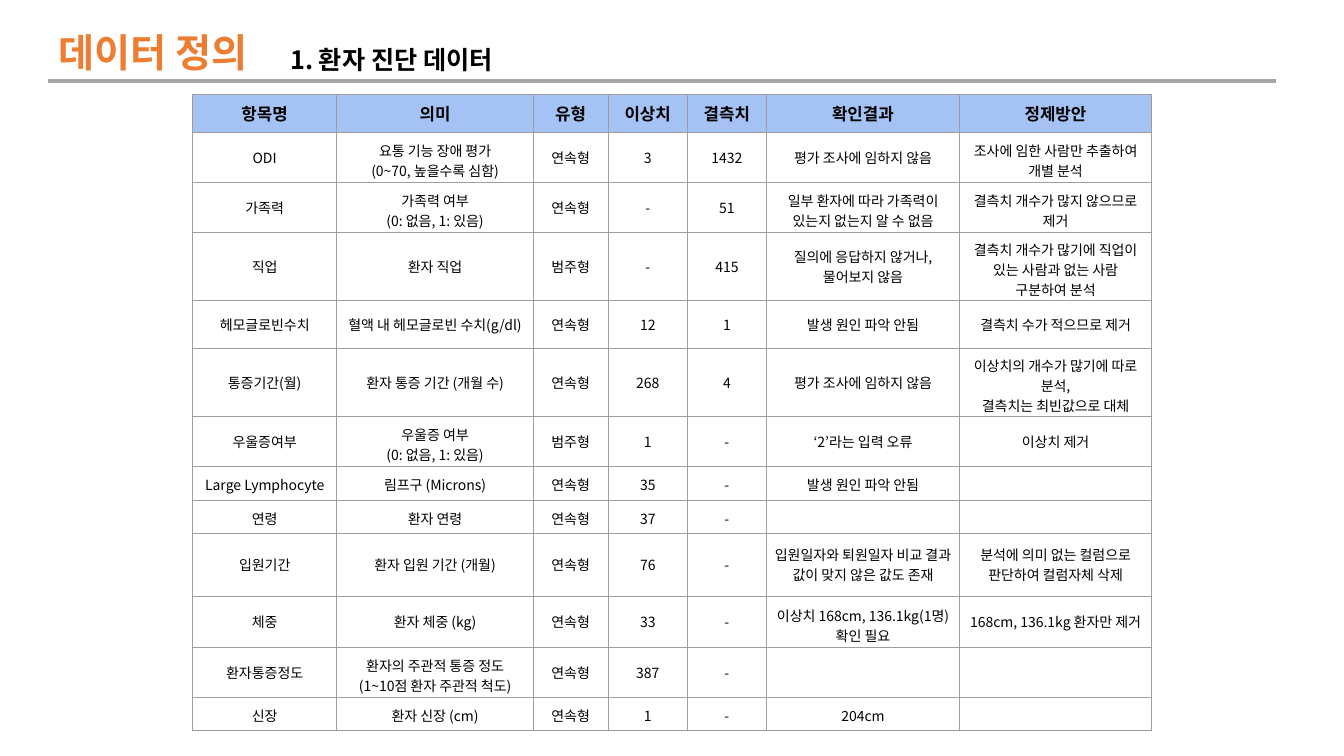
"""Build the patient diagnosis data definition slide."""
from dataclasses import dataclass
from math import ceil

from lxml import etree
from pptx import Presentation
from pptx.dml.color import RGBColor
from pptx.enum.shapes import MSO_CONNECTOR
from pptx.enum.text import MSO_ANCHOR, MSO_AUTO_SIZE, PP_ALIGN
from pptx.oxml.ns import qn
from pptx.util import Inches, Pt

STRAIGHT = MSO_CONNECTOR.STRAIGHT
MIDDLE = MSO_ANCHOR.MIDDLE
NO_AUTOSIZE = MSO_AUTO_SIZE.NONE
LEFT, CENTER = PP_ALIGN.LEFT, PP_ALIGN.CENTER

ORANGE = RGBColor(0xED, 0x7D, 0x31)
BLACK = RGBColor(0x00, 0x00, 0x00)
RULE_GRAY = RGBColor(0xA5, 0xA5, 0xA5)
BORDER_GRAY = RGBColor(0x9E, 0x9E, 0x9E)
HEADER_BLUE = RGBColor(0xA4, 0xC2, 0xF4)

KOREAN_FONT = "Noto Sans CJK KR"
HEADER_FONT = "Arial"
CELL_MARGIN = 0.08
LINE_SPACING = 1.455
HANGUL_WIDTH, LATIN_WIDTH = 0.12, 0.05
BORDER_WIDTH = Pt(0.6)
COLUMN_WIDTHS = (1.43, 1.95, 0.74, 0.79, 0.78, 1.92, 1.9)
HEADERS = ("항목명", "의미", "유형", "이상치", "결측치", "확인결과", "정제방안")
HEADER_HEIGHT = 0.37
CONTINUOUS, CATEGORICAL = "연속형", "범주형"


@dataclass(frozen=True)
class TextStyle:
    font: str
    size: float
    color: RGBColor
    bold: bool
    alignment: PP_ALIGN


@dataclass(frozen=True)
class DataItem:
    height: float
    name: str
    meaning: str
    kind: str
    outliers: str
    missing: str = "-"
    finding: str = ""
    treatment: str = ""

    def texts(self) -> tuple[str, ...]:
        return (self.name, self.meaning, self.kind, self.outliers,
                self.missing, self.finding, self.treatment)


TITLE_STYLE = TextStyle(KOREAN_FONT, 28, ORANGE, True, LEFT)
SUBTITLE_STYLE = TextStyle(KOREAN_FONT, 18, BLACK, True, LEFT)
HEADER_STYLE = TextStyle(HEADER_FONT, 12, BLACK, True, CENTER)
BODY_STYLE = TextStyle(KOREAN_FONT, 10, BLACK, False, CENTER)

ITEMS = (
    DataItem(0.5, "ODI", "요통 기능 장애 평가\n(0~70, 높을수록 심함)", CONTINUOUS, "3", "1432",
             "평가 조사에 임하지 않음", "조사에 임한 사람만 추출하여 개별 분석"),
    DataItem(0.5, "가족력", "가족력 여부\n(0: 없음, 1: 있음)", CONTINUOUS, "-", "51",
             "일부 환자에 따라 가족력이 있는지 없는지 알 수 없음",
             "결측치 개수가 많지 않으므로 제거"),
    DataItem(0.67, "직업", "환자 직업", CATEGORICAL, "-", "415",
             "질의에 응답하지 않거나, 물어보지 않음",
             "결측치 개수가 많기에 직업이 있는 사람과 없는 사람 구분하여 분석"),
    DataItem(0.48, "헤모글로빈수치", "혈액 내 헤모글로빈 수치(g/dl)", CONTINUOUS, "12", "1",
             "발생 원인 파악 안됨", "결측치 수가 적으므로 제거"),
    DataItem(0.67, "통증기간(월)", "환자 통증 기간 (개월 수)", CONTINUOUS, "268", "4",
             "평가 조사에 임하지 않음",
             "이상치의 개수가 많기에 따로 분석,\n결측치는 최빈값으로 대체"),
    DataItem(0.5, "우울증여부", "우울증 여부\n(0: 없음, 1: 있음)", CATEGORICAL, "1", "-",
             "‘2’라는 입력 오류", "이상치 제거"),
    DataItem(0.33, "Large Lymphocyte", "림프구 (Microns)", CONTINUOUS, "35",
             finding="발생 원인 파악 안됨"),
    DataItem(0.33, "연령", "환자 연령", CONTINUOUS, "37"),
    DataItem(0.63, "입원기간", "환자 입원 기간 (개월)", CONTINUOUS, "76",
             finding="입원일자와 퇴원일자 비교 결과 값이 맞지 않은 값도 존재",
             treatment="분석에 의미 없는 컬럼으로 판단하여 컬럼자체 삭제"),
    DataItem(0.5, "체중", "환자 체중 (kg)", CONTINUOUS, "33",
             finding="이상치 168cm, 136.1kg(1명) 확인 필요",
             treatment="168cm, 136.1kg 환자만 제거"),
    DataItem(0.5, "환자통증정도", "환자의 주관적 통증 정도\n(1~10점 환자 주관적 척도)",
             CONTINUOUS, "387"),
    DataItem(0.33, "신장", "환자 신장 (cm)", CONTINUOUS, "1", finding="204cm"),
)


def write_text(text_frame, text: str, style: TextStyle) -> None:
    text_frame.text = text
    for paragraph in text_frame.paragraphs:
        paragraph.alignment = style.alignment
        paragraph.font.name = style.font
        paragraph.font.size = Pt(style.size)
        paragraph.font.bold = style.bold
        paragraph.font.color.rgb = style.color
        defaults = paragraph._p.pPr.find(qn("a:defRPr"))
        etree.SubElement(defaults, qn("a:ea"), typeface=style.font)


def write_heading(shape, text: str, style: TextStyle) -> None:
    text_frame = shape.text_frame
    write_text(text_frame, text, style)
    text_frame.word_wrap = False
    text_frame.auto_size = NO_AUTOSIZE
    text_frame.vertical_anchor = MIDDLE


def add_rule(slide) -> None:
    rule = slide.shapes.add_connector(
        STRAIGHT, Inches(0.48), Inches(0.8), Inches(12.66), Inches(0.8))
    rule.line.color.rgb = RULE_GRAY
    rule.line.width = Pt(3)
    etree.SubElement(rule.element.spPr, qn("a:effectLst"))


def add_borders(cell) -> None:
    properties = cell._tc.get_or_add_tcPr()
    for position, side in enumerate(("a:lnL", "a:lnR", "a:lnT", "a:lnB")):
        border = etree.Element(qn(side), w=str(BORDER_WIDTH))
        fill = etree.SubElement(border, qn("a:solidFill"))
        etree.SubElement(fill, qn("a:srgbClr"), val=str(BORDER_GRAY))
        properties.insert(position, border)


def count_lines(text: str, width: float) -> int:
    available = width - 2 * CELL_MARGIN
    return sum(
        max(1, ceil(sum(HANGUL_WIDTH if "가" <= letter <= "힣" else LATIN_WIDTH
                        for letter in line) / available))
        for line in text.split("\n"))


def fill_cell(cell, text: str, is_header: bool, width: float, height: float) -> None:
    style = HEADER_STYLE if is_header else BODY_STYLE
    write_text(cell.text_frame, text, style)
    cell.vertical_anchor = MIDDLE
    cell.margin_left = cell.margin_right = Inches(CELL_MARGIN)
    spare = height - count_lines(text, width) * style.size * LINE_SPACING / 72
    top = max(0, min(CELL_MARGIN, spare))
    cell.margin_top = Inches(top)
    cell.margin_bottom = Inches(max(0, min(CELL_MARGIN, spare - top)))
    if is_header:
        cell.fill.solid()
        cell.fill.fore_color.rgb = HEADER_BLUE
    else:
        cell.fill.background()
    add_borders(cell)


def add_definition_table(slide) -> None:
    heights = (HEADER_HEIGHT, *(item.height for item in ITEMS))
    rows = (HEADERS, *(item.texts() for item in ITEMS))
    table = slide.shapes.add_table(
        len(rows), len(HEADERS), Inches(1.91), Inches(0.94),
        Inches(sum(COLUMN_WIDTHS)), Inches(sum(heights))).table
    for column, width in zip(table.columns, COLUMN_WIDTHS):
        column.width = Inches(width)
    for row_index, (texts, height) in enumerate(zip(rows, heights)):
        table.rows[row_index].height = Inches(height)
        for column_index, (text, width) in enumerate(zip(texts, COLUMN_WIDTHS)):
            fill_cell(table.cell(row_index, column_index), text,
                      row_index == 0, width, height)


def main() -> None:
    presentation = Presentation()
    presentation.slide_width = Inches(13.33)
    presentation.slide_height = Inches(7.5)
    slide = presentation.slides.add_slide(presentation.slide_layouts[5])
    add_rule(slide)
    title = slide.shapes.title
    title.left, title.top = Inches(0.48), Inches(0.23)
    title.width, title.height = Inches(2.3), Inches(0.57)
    write_heading(title, "데이터 정의", TITLE_STYLE)
    subtitle = slide.shapes.add_textbox(
        Inches(2.78), Inches(0.39), Inches(2.43), Inches(0.4))
    write_heading(subtitle, "1. 환자 진단 데이터", SUBTITLE_STYLE)
    add_definition_table(slide)
    presentation.save("out.pptx")


if __name__ == "__main__":
    main()
